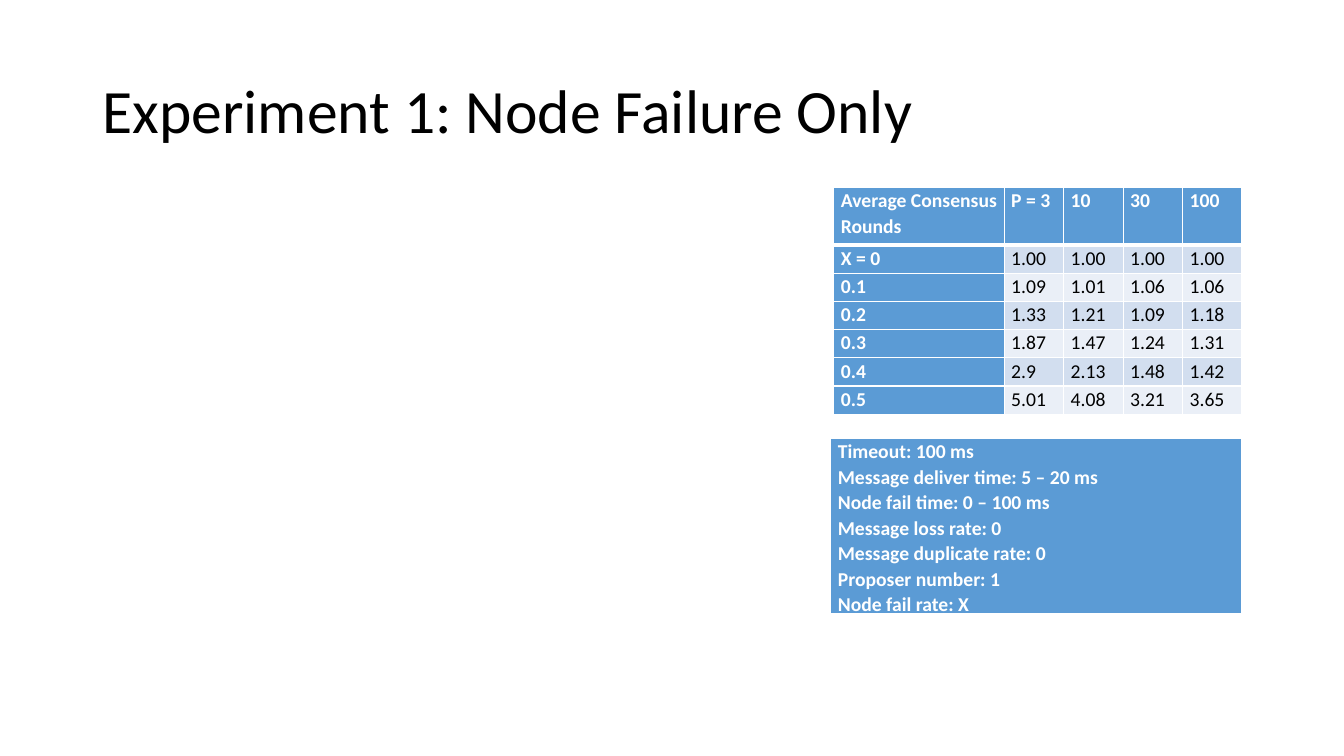
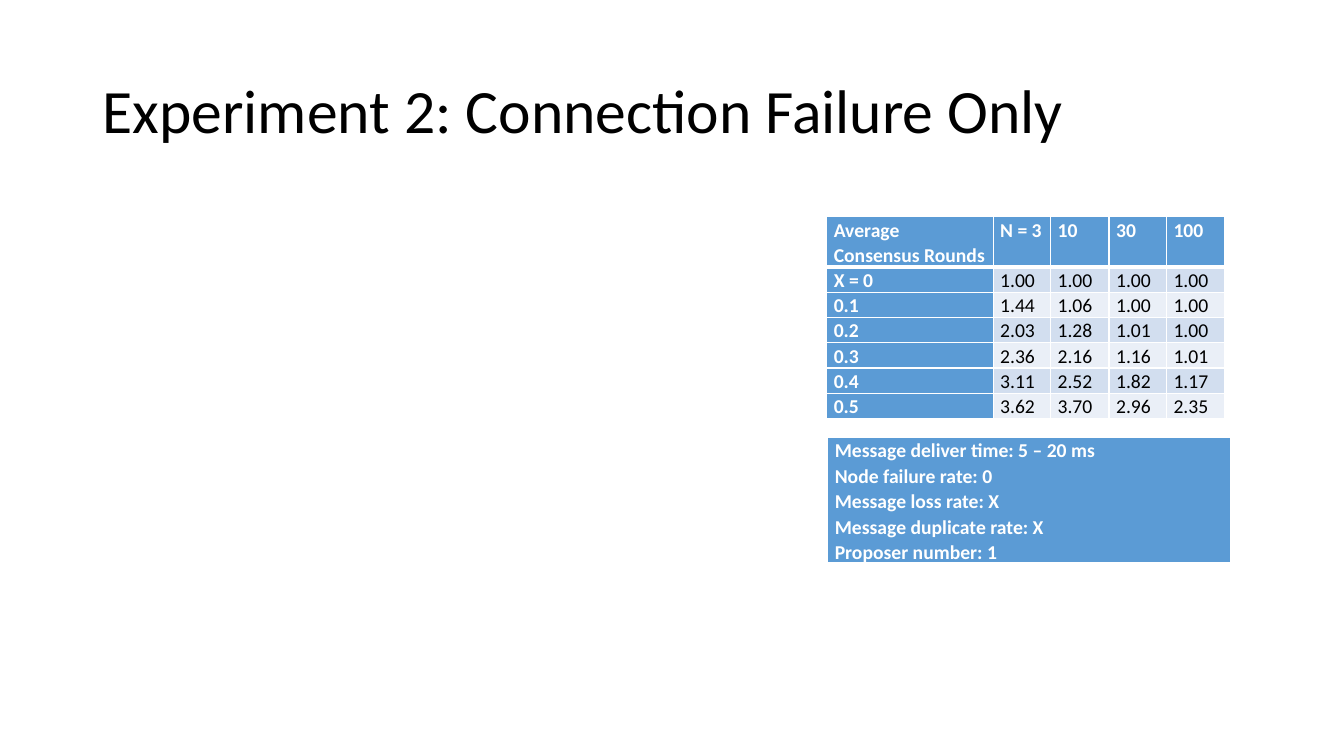
from dataclasses import dataclass

from lxml import etree
from pptx import Presentation
from pptx.dml.color import RGBColor
from pptx.enum.text import MSO_ANCHOR
from pptx.oxml.ns import qn
from pptx.util import Inches, Pt

MIDDLE = MSO_ANCHOR.MIDDLE
BLANK = 6


@dataclass(frozen=True)
class Theme:
    font: str = "Calibri"
    ink: str = "000000"
    paper: str = "FFFFFF"
    accent: str = "5B9BD5"
    bands: tuple = ("D2DEEF", "EAEFF7")
    title_size: int = 44
    body_size: int = 14
    title_spacing: float = 0.9
    body_spacing: float = 1.07
    thin: int = 1
    thick: int = 3


THEME = Theme()
RATES = ["X = 0", "0.1", "0.2", "0.3", "0.4", "0.5"]

NODE_ROUNDS = [
    ["1.00", "1.00", "1.00", "1.00"],
    ["1.09", "1.01", "1.06", "1.06"],
    ["1.33", "1.21", "1.09", "1.18"],
    ["1.87", "1.47", "1.24", "1.31"],
    ["2.9", "2.13", "1.48", "1.42"],
    ["5.01", "4.08", "3.21", "3.65"],
]
NODE_SETTINGS = [
    "Timeout: 100 ms",
    "Message deliver time: 5 – 20 ms",
    "Node fail time: 0 – 100 ms",
    "Message loss rate: 0",
    "Message duplicate rate: 0",
    "Proposer number: 1",
    "Node fail rate: X",
]
CONNECTION_ROUNDS = [
    ["1.00", "1.00", "1.00", "1.00"],
    ["1.44", "1.06", "1.00", "1.00"],
    ["2.03", "1.28", "1.01", "1.00"],
    ["2.36", "2.16", "1.16", "1.01"],
    ["3.11", "2.52", "1.82", "1.17"],
    ["3.62", "3.70", "2.96", "2.35"],
]
CONNECTION_SETTINGS = [
    "Message deliver time: 5 – 20 ms",
    "Node failure rate: 0",
    "Message loss rate: X",
    "Message duplicate rate: X",
    "Proposer number: 1",
]


def write(tf, lines, size, color, spacing, bold=False):
    for i, line in enumerate(lines):
        p = tf.paragraphs[0] if i == 0 else tf.add_paragraph()
        p.line_spacing = spacing
        r = p.add_run()
        r.text = line
        r.font.name = THEME.font
        r.font.size = Pt(size)
        r.font.bold = bold
        r.font.color.rgb = RGBColor.from_string(color)


def add_title(s, text):
    box = s.shapes.add_textbox(Inches(0.92), Inches(0.4), Inches(11.5), Inches(1.45))
    tf = box.text_frame
    tf.word_wrap = True
    tf.vertical_anchor = MIDDLE
    write(tf, [text], THEME.title_size, THEME.ink, THEME.title_spacing)


def set_borders(cell, top, bottom):
    tcPr = cell._tc.get_or_add_tcPr()
    widths = {"a:lnL": THEME.thin, "a:lnR": THEME.thin, "a:lnT": top, "a:lnB": bottom}
    for tag, width in widths.items():
        ln = etree.SubElement(tcPr, qn(tag), w=str(Pt(width)))
        fill = etree.SubElement(ln, qn("a:solidFill"))
        etree.SubElement(fill, qn("a:srgbClr"), val=THEME.paper)


def fill_cell(cell, lines, fill, color, bold, top=THEME.thin, bottom=THEME.thin):
    cell.margin_left = cell.margin_right = Inches(0.07)
    cell.margin_top = cell.margin_bottom = 0
    write(cell.text_frame, lines, THEME.body_size, color, THEME.body_spacing, bold)
    set_borders(cell, top, bottom)
    cell.fill.solid()
    cell.fill.fore_color.rgb = RGBColor.from_string(fill)


def add_plain_table(s, left, top, widths, heights):
    frame = s.shapes.add_table(len(heights), len(widths), Inches(left), Inches(top),
                               Inches(sum(widths)), Inches(sum(heights)))
    table = frame.table
    table.first_row = table.horz_banding = False
    for column, width in zip(table.columns, widths):
        column.width = Inches(width)
    for row, height in zip(table.rows, heights):
        row.height = Inches(height)
    return table


def add_rounds(s, left, top, widths, header_height, row_height, first_count, rounds):
    header = ["Average Consensus Rounds", first_count, "10", "30", "100"]
    grid = [header] + [[rate] + values for rate, values in zip(RATES, rounds)]
    heights = [header_height] + [row_height] * len(rounds)
    table = add_plain_table(s, left, top, widths, heights)
    for i, row in enumerate(grid):
        for j, text in enumerate(row):
            heading = i == 0 or j == 0
            fill_cell(
                table.cell(i, j), [text],
                THEME.accent if heading else THEME.bands[(i - 1) % 2],
                THEME.paper if heading else THEME.ink,
                heading,
                top=THEME.thick if i == 1 else THEME.thin,
                bottom=THEME.thick if i == 0 else THEME.thin,
            )


def add_settings(s, left, top, width, lines):
    table = add_plain_table(s, left, top, [width], [0.25 * len(lines)])
    fill_cell(table.cell(0, 0), lines, THEME.accent, THEME.paper, True,
              bottom=THEME.thick)


def node_failure(s):
    add_title(s, "Experiment 1: Node Failure Only")
    add_rounds(s, 8.27, 1.86, [1.69] + [0.59] * 4, 0.57, 0.28, "P = 3", NODE_ROUNDS)
    add_settings(s, 8.24, 4.35, 4.07, NODE_SETTINGS)


def connection_failure(s):
    add_title(s, "Experiment 2: Connection Failure Only")
    add_settings(s, 8.21, 4.34, 4, CONNECTION_SETTINGS)
    add_rounds(s, 8.2, 2.15, [1.65] + [0.57, 0.58] * 2, 0.5, 0.25, "N = 3",
               CONNECTION_ROUNDS)


def main():
    prs = Presentation()
    prs.slide_width, prs.slide_height = Inches(13.33), Inches(7.5)
    for build in (node_failure, connection_failure):
        build(prs.slides.add_slide(prs.slide_layouts[BLANK]))
    prs.save("out.pptx")


main()
